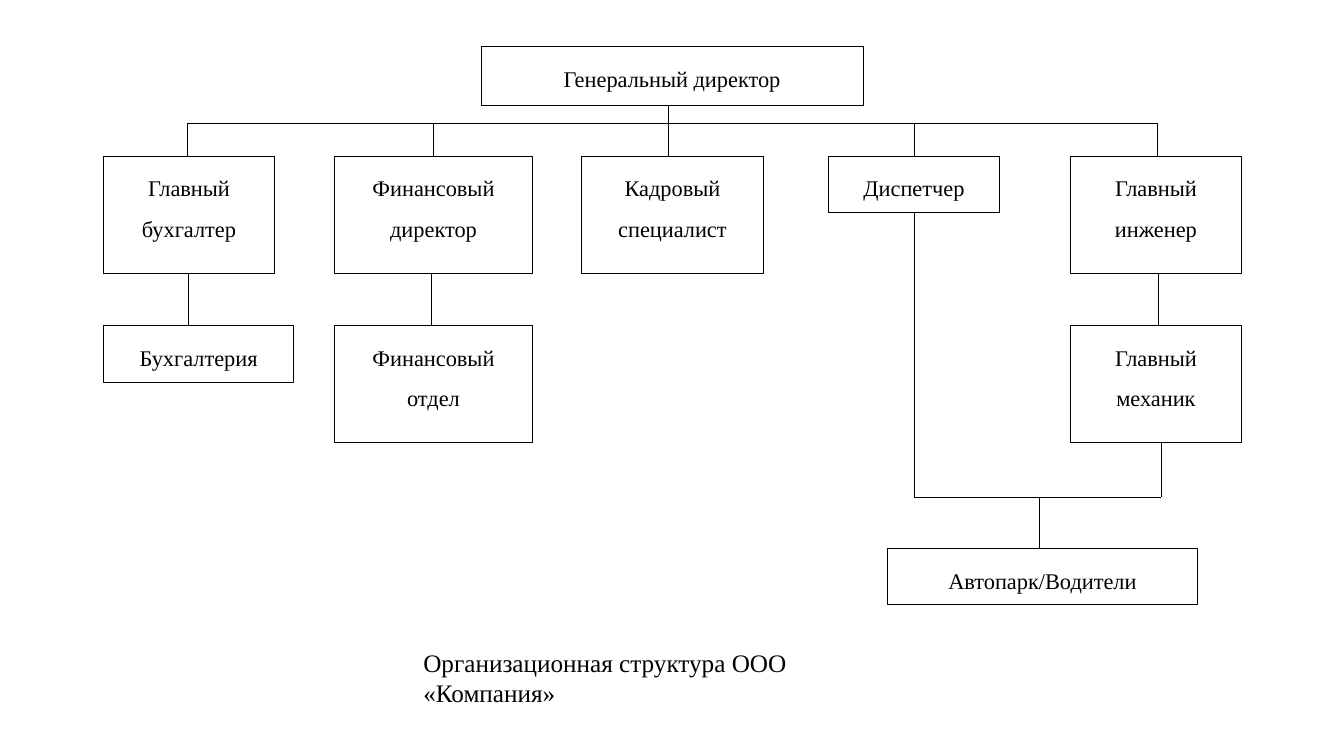
from typing import NamedTuple

from lxml import etree
from pptx import Presentation
from pptx.dml.color import RGBColor
from pptx.enum.shapes import MSO_CONNECTOR, MSO_SHAPE
from pptx.enum.text import MSO_ANCHOR, MSO_AUTO_SIZE, PP_ALIGN
from pptx.oxml.ns import qn
from pptx.util import Inches, Pt

RECTANGLE = MSO_SHAPE.RECTANGLE
STRAIGHT = MSO_CONNECTOR.STRAIGHT
TOP = MSO_ANCHOR.TOP
CENTER = PP_ALIGN.CENTER
LEFT = PP_ALIGN.LEFT
FIT_SHAPE = MSO_AUTO_SIZE.SHAPE_TO_FIT_TEXT

FONT = "Times New Roman"
BLACK = "000000"
WHITE = "FFFFFF"
LINE_WIDTH = Pt(0.5)

MANAGERS_TOP = 1.55
DEPARTMENTS_TOP = 3.23
TALL = 1.16
MANAGERS_BOTTOM = MANAGERS_TOP + TALL
DEPARTMENTS_BOTTOM = DEPARTMENTS_TOP + TALL
BUS = 1.22
MERGE = 4.93
FLEET_TOP = 5.44
DISPATCHER_X = 9.07
DIRECTOR_X = 6.63
MECHANIC_X = 11.52


class Position(NamedTuple):
    title: str
    left: float
    top: float
    width: float
    height: float = TALL


class Link(NamedTuple):
    start_x: float
    start_y: float
    end_x: float
    end_y: float


POSITIONS = [
    Position("Генеральный директор", 4.77, 0.46, 3.79, 0.59),
    Position("Главный бухгалтер", 1.03, MANAGERS_TOP, 1.69),
    Position("Финансовый директор", 3.32, MANAGERS_TOP, 1.96),
    Position("Кадровый специалист", 5.77, MANAGERS_TOP, 1.8),
    Position("Диспетчер", 8.22, MANAGERS_TOP, 1.69, 0.56),
    Position("Главный инженер", 10.62, MANAGERS_TOP, 1.69),
    Position("Бухгалтерия", 1.03, DEPARTMENTS_TOP, 1.88, 0.56),
    Position("Финансовый отдел", 3.32, DEPARTMENTS_TOP, 1.96),
    Position("Главный механик", 10.62, DEPARTMENTS_TOP, 1.69),
    Position("Автопарк/Водители", 8.8, FLEET_TOP, 3.08, 0.56),
]

MANAGER_DROPS = [1.86, 4.3, DISPATCHER_X, 11.48]
DEPARTMENT_DROPS = [1.87, 4.28, 11.49]

LINKS = [
    Link(DIRECTOR_X, 1.05, DIRECTOR_X, MANAGERS_TOP),
    Link(MANAGER_DROPS[0], BUS, MANAGER_DROPS[-1], BUS),
    *[Link(x, BUS, x, MANAGERS_TOP) for x in MANAGER_DROPS],
    *[Link(x, MANAGERS_BOTTOM, x, DEPARTMENTS_TOP) for x in DEPARTMENT_DROPS],
    Link(DISPATCHER_X, 2.11, DISPATCHER_X, MERGE),
    Link(MECHANIC_X, DEPARTMENTS_BOTTOM, MECHANIC_X, MERGE),
    Link(DISPATCHER_X, MERGE, MECHANIC_X, MERGE),
    Link(10.31, MERGE, 10.31, FLEET_TOP),
]


def color(value: str) -> RGBColor:
    return RGBColor.from_string(value)


def write(para, words: str, size: int, alignment) -> None:
    para.alignment = alignment
    span = para.add_run()
    span.text = words
    span.font.name = FONT
    span.font.size = Pt(size)
    span.font.color.rgb = color(BLACK)


def draw_position(page, position: Position) -> None:
    box = page.shapes.add_shape(
        RECTANGLE, Inches(position.left), Inches(position.top),
        Inches(position.width), Inches(position.height))
    box.shadow.inherit = False
    box.fill.solid()
    box.fill.fore_color.rgb = color(WHITE)
    box.line.color.rgb = color(BLACK)
    box.line.width = LINE_WIDTH
    frame = box.text_frame
    frame.word_wrap = True
    frame.vertical_anchor = TOP
    para = frame.paragraphs[0]
    para.line_spacing = 1.5
    write(para, position.title, 16, CENTER)


def draw_link(page, link: Link) -> None:
    connector = page.shapes.add_connector(
        STRAIGHT, Inches(link.start_x), Inches(link.start_y),
        Inches(link.end_x), Inches(link.end_y))
    connector.line.color.rgb = color(BLACK)
    connector.line.width = LINE_WIDTH
    etree.SubElement(connector._element.spPr, qn("a:effectLst"))


def draw_caption(page, words: str) -> None:
    box = page.shapes.add_textbox(
        Inches(4.1), Inches(6.37), Inches(5.05), Inches(0.4))
    frame = box.text_frame
    frame.word_wrap = False
    frame.auto_size = FIT_SHAPE
    write(frame.paragraphs[0], words, 18, LEFT)


deck = Presentation()
deck.slide_width = Inches(13.33)
deck.slide_height = Inches(7.5)
page = deck.slides.add_slide(deck.slide_layouts[6])
for position in POSITIONS:
    draw_position(page, position)
for link in LINKS:
    draw_link(page, link)
draw_caption(page, "Организационная структура ООО «Компания»")
deck.save("out.pptx")
